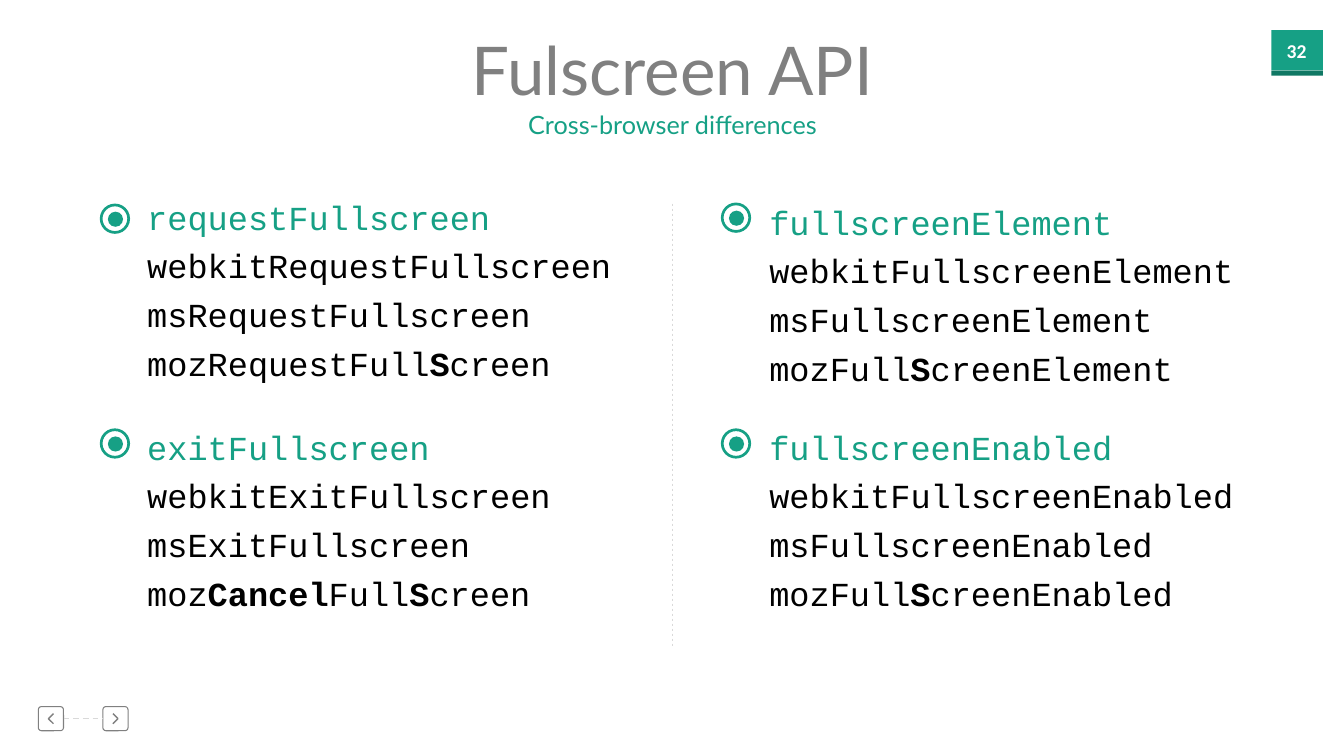
from lxml import etree
from pptx import Presentation
from pptx import util as u
from pptx.dml.color import RGBColor
from pptx.enum import dml, shapes, text
from pptx.oxml import ns

PX = 9144
HUES = {"teal": "16A085", "deep": "107864", "gray": "808080",
        "pale": "D9D9D9", "white": "FFFFFF", "black": "000000"}
hue = {name: RGBColor.from_string(code) for name, code in HUES.items()}
kind = shapes.MSO_SHAPE


def draw(form, box, fill=None, edge=None):
    item = slide.shapes.add_shape(form, *[n * PX for n in box])
    item.shadow.inherit = False
    if fill:
        item.fill.solid()
        item.fill.fore_color.rgb = hue[fill]
    else:
        item.fill.background()
    if edge:
        item.line.color.rgb = hue[edge]
        item.line.width = u.Pt(0.75)
    else:
        item.line.fill.background()
    return item


def style(para, face, size, color, bold=False):
    font = para.font
    font.name, font.size, font.bold = face, u.Pt(size), bold
    font.color.rgb = hue[color]


deck = Presentation()
deck.slide_width, deck.slide_height = 1333 * PX, 750 * PX
slide = deck.slides.add_slide(deck.slide_layouts[4])
title, *lists = slide.placeholders

draw(kind.RECTANGLE, (1261, 30, 51, 40), "teal")
draw(kind.RECTANGLE, (1261, 70, 51, 5), "deep")

badge = slide.shapes.add_textbox(1264 * PX, 33 * PX, 44 * PX, 34 * PX)
sub = slide.shapes.add_textbox(510 * PX, 103 * PX, 314 * PX, 40 * PX)
title.left, title.top, title.width, title.height = [n * PX for n in (447, 23, 440, 91)]
for item, words, face, size, color, bold in (
        (badge, "32", "Calibri", 14, "white", True),
        (title, "Fulscreen API", "Lato", 48, "gray", False),
        (sub, "Cross-browser differences", "Lato", 18, "teal", False)):
    frame = item.text_frame
    frame.text = words
    frame.word_wrap = False
    frame.auto_size = text.MSO_AUTO_SIZE.NONE
    frame.vertical_anchor = text.MSO_ANCHOR.MIDDLE
    para = frame.paragraphs[0]
    para.alignment = text.PP_ALIGN.CENTER
    style(para, face, size, color, bold)

groups = (
    ((136, 186, 500, 220), (99, 202),
     ("requestFullscreen", "webkitRequestFullscreen",
      "msRequestFullscreen", "mozRequestFull*S*creen")),
    ((136, 414, 500, 220), (99, 425),
     ("exitFullscreen", "webkitExitFullscreen",
      "msExitFullscreen", "moz*Cancel*Full*S*creen")),
    ((753, 191, 551, 220), (715, 201),
     ("fullscreenElement", "webkitFullscreenElement",
      "msFullscreenElement", "mozFull*S*creenElement")),
    ((753, 414, 515, 229), (715, 425),
     ("fullscreenEnabled", "webkitFullscreenEnabled",
      "msFullscreenEnabled", "mozFull*S*creenEnabled")),
)
for body, (box, (x, y), names) in zip(lists, groups):
    body.left, body.top, body.width, body.height = [n * PX for n in box]
    frame = body.text_frame
    frame.word_wrap = True
    frame.auto_size = text.MSO_AUTO_SIZE.NONE
    frame.vertical_anchor = text.MSO_ANCHOR.TOP
    frame.margin_top = 9 * PX
    for row, name in enumerate(names):
        para = frame.add_paragraph() if row else frame.paragraphs[0]
        para.space_before = u.Pt(6 if row else 0)
        para.line_spacing = u.Pt(28.8)
        props = para._p.get_or_add_pPr()
        props.set("marL", "0")
        props.set("indent", "0")
        etree.SubElement(props, ns.qn("a:buNone"))
        style(para, "Courier New", 24, "black" if row else "teal")
        for part, words in enumerate(name.split("*")):
            run = para.add_run()
            run.text = words
            if part % 2:
                run.font.bold = True
    ring = draw(kind.DONUT, (x, y, 30, 30), "teal")
    ring.adjustments[0] = 0.09
    draw(kind.OVAL, (x + 8, y + 8, 15, 15), "teal")

keys = []
for x, tip, back in ((38, 48, 53), (102, 117, 112)):
    key = draw(kind.ROUNDED_RECTANGLE, (x, 701, 25, 24), edge="gray")
    key.adjustments[0] = 0.13
    keys.append(key)
    pen = slide.shapes.build_freeform(back, 708, scale=PX)
    pen.add_line_segments([(tip, 713), (back, 718)], close=False)
    arrow = pen.convert_to_shape()
    arrow.shadow.inherit = False
    arrow.fill.background()
    arrow.line.color.rgb = hue["gray"]
    arrow.line.width = u.Pt(1)

for ends, width in (((63, 713, 102, 713), 1), ((667, 202, 667, 643), 0.5)):
    line = slide.shapes.add_connector(
        shapes.MSO_CONNECTOR.STRAIGHT, *[n * PX for n in ends])
    line.line.color.rgb = hue["pale"]
    line.line.width = u.Pt(width)
    line.line.dash_style = dml.MSO_LINE.DASH
    etree.SubElement(line._element.spPr, ns.qn("a:effectLst"))
    if width == 1:
        line.begin_connect(keys[0], 3)
        line.end_connect(keys[1], 1)

deck.save("out.pptx")
